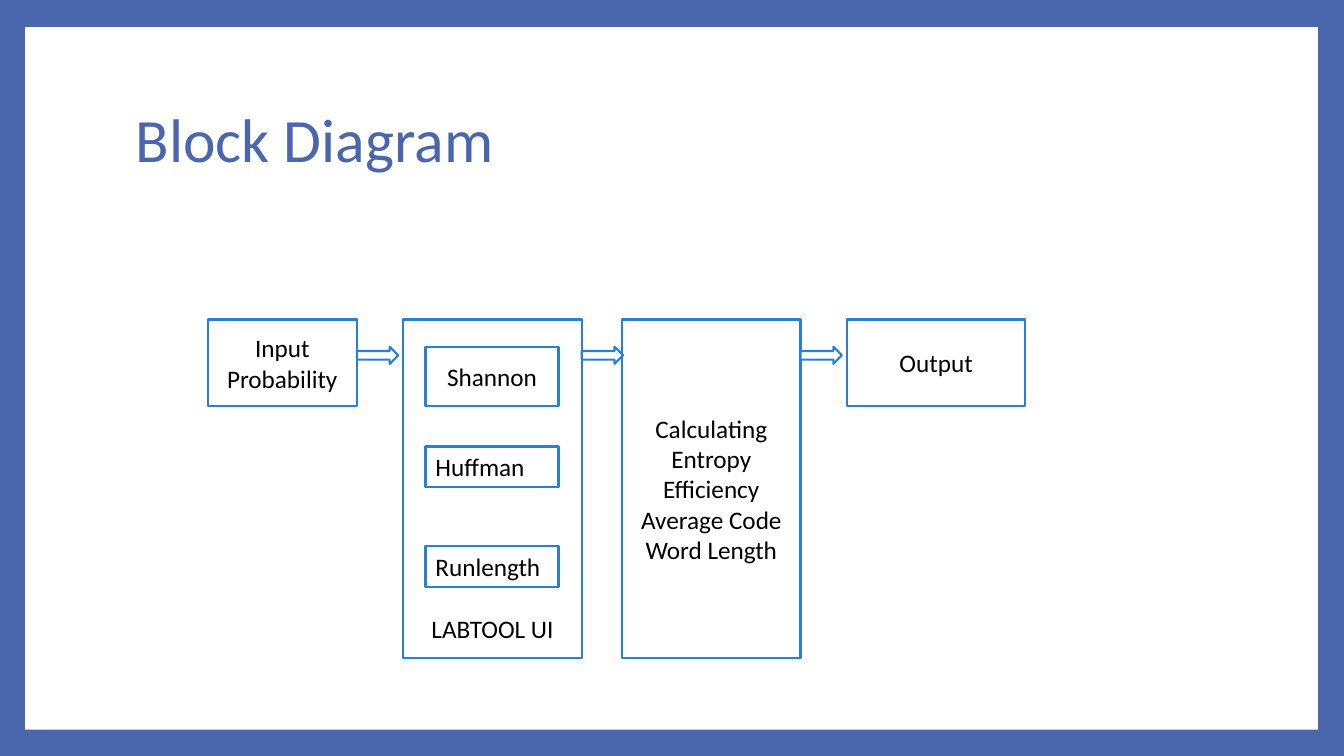
import pptx
import pptx.util
import pptx.dml.color
import pptx.enum.shapes
import pptx.enum.text

Inches = pptx.util.Inches
RGBColor = pptx.dml.color.RGBColor
SHAPE = pptx.enum.shapes.MSO_SHAPE
ANCHOR = pptx.enum.text.MSO_ANCHOR
ALIGN = pptx.enum.text.PP_ALIGN

FRAME_BLUE = RGBColor(0x4A, 0x66, 0xAC)
LINE_BLUE = RGBColor(0x29, 0x7F, 0xD5)
WHITE = RGBColor(0xFF, 0xFF, 0xFF)
BLACK = RGBColor(0x00, 0x00, 0x00)

ROW_TOP = 3.17
LOW, TALL = 0.86, 3.36
WIDE = 1.77
CODER_LEFT, CODER_WIDTH = 4.22, 1.32
ARROW_TOP, ARROW_WIDTH, ARROW_HEIGHT = 3.44, 0.41, 0.17

TITLE_FORMAT = {"name": "Calibri", "size": pptx.util.Pt(44)}
LABEL_FORMAT = {"name": "Calibri", "size": pptx.util.Pt(18)}


def set_format(target, values):
    for name, value in values.items():
        setattr(target, name, value)


def write_text(box, lines, font_format, color, align, **frame_format):
    frame = box.text_frame
    set_format(frame, {"word_wrap": True, **frame_format})
    for index, line in enumerate(lines):
        para = frame.paragraphs[0] if index == 0 else frame.add_paragraph()
        para.alignment = align
        span = para.add_run()
        span.text = line
        set_format(span.font, font_format)
        span.font.color.rgb = color


def add_outlined(page, kind, left, top, width, height, line_color=LINE_BLUE):
    shape = page.shapes.add_shape(
        kind, Inches(left), Inches(top), Inches(width), Inches(height))
    shape.shadow.inherit = False
    shape.fill.solid()
    shape.fill.fore_color.rgb = WHITE
    if line_color is None:
        shape.line.fill.background()
    else:
        shape.line.color.rgb = line_color
        shape.line.width = pptx.util.Pt(1.5)
    return shape


def add_block(page, left, top, width, height, lines,
              align=ALIGN.CENTER, anchor=ANCHOR.MIDDLE, **frame_format):
    block = add_outlined(page, SHAPE.RECTANGLE, left, top, width, height)
    write_text(block, lines, LABEL_FORMAT, BLACK, align,
               vertical_anchor=anchor, **frame_format)


def add_title(page, text):
    box = page.shapes.add_textbox(
        Inches(1.25), Inches(0.67), Inches(10.8), Inches(1.48))
    write_text(box, [text], TITLE_FORMAT, FRAME_BLUE, ALIGN.LEFT,
               vertical_anchor=ANCHOR.MIDDLE)
    box.text_frame.paragraphs[0].line_spacing = 0.9


def main():
    deck = pptx.Presentation()
    deck.slide_width, deck.slide_height = Inches(13.33), Inches(7.5)
    page = deck.slides.add_slide(deck.slide_layouts[6])

    # Blue frame around a white panel
    page.background.fill.solid()
    page.background.fill.fore_color.rgb = FRAME_BLUE
    add_outlined(page, SHAPE.RECTANGLE, 0.25, 0.27, 12.82, 6.97, None)
    add_title(page, "Block Diagram")

    # Stages of the flow
    add_block(page, 2.06, ROW_TOP, 1.48, LOW, ["Input Probability"])
    add_block(page, 4, ROW_TOP, WIDE, TALL, ["LABTOOL UI"],
              anchor=ANCHOR.BOTTOM, margin_bottom=Inches(0.15))
    add_block(page, 6.17, ROW_TOP, WIDE, TALL,
              ["Calculating", "Entropy", "Efficiency", "Average Code", "Word Length"])
    add_block(page, 8.4, ROW_TOP, WIDE, LOW, ["Output"])

    # Coders inside the second stage
    add_block(page, CODER_LEFT, 3.44, CODER_WIDTH, 0.59, ["Shannon"])
    for top, coder in ((4.43, "Huffman"), (5.42, "Runlength")):
        add_block(page, CODER_LEFT, top, CODER_WIDTH, 0.4, [coder],
                  align=ALIGN.LEFT, anchor=ANCHOR.TOP)

    # Arrows leaving the right edge of each stage
    for left in (3.54, 5.77, 7.94):
        add_outlined(page, SHAPE.RIGHT_ARROW, left, ARROW_TOP,
                     ARROW_WIDTH, ARROW_HEIGHT)

    deck.save("out.pptx")


if __name__ == "__main__":
    main()
